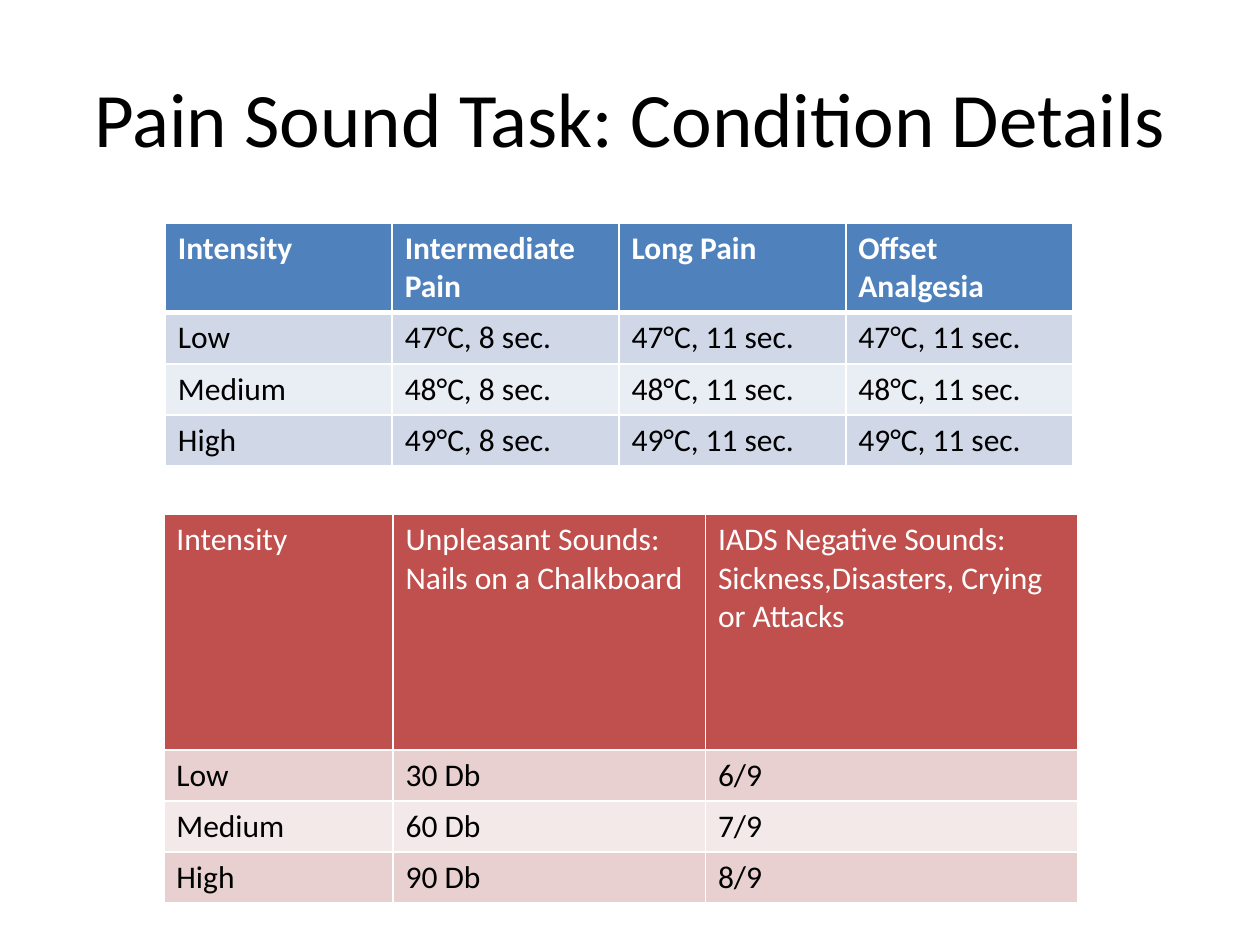
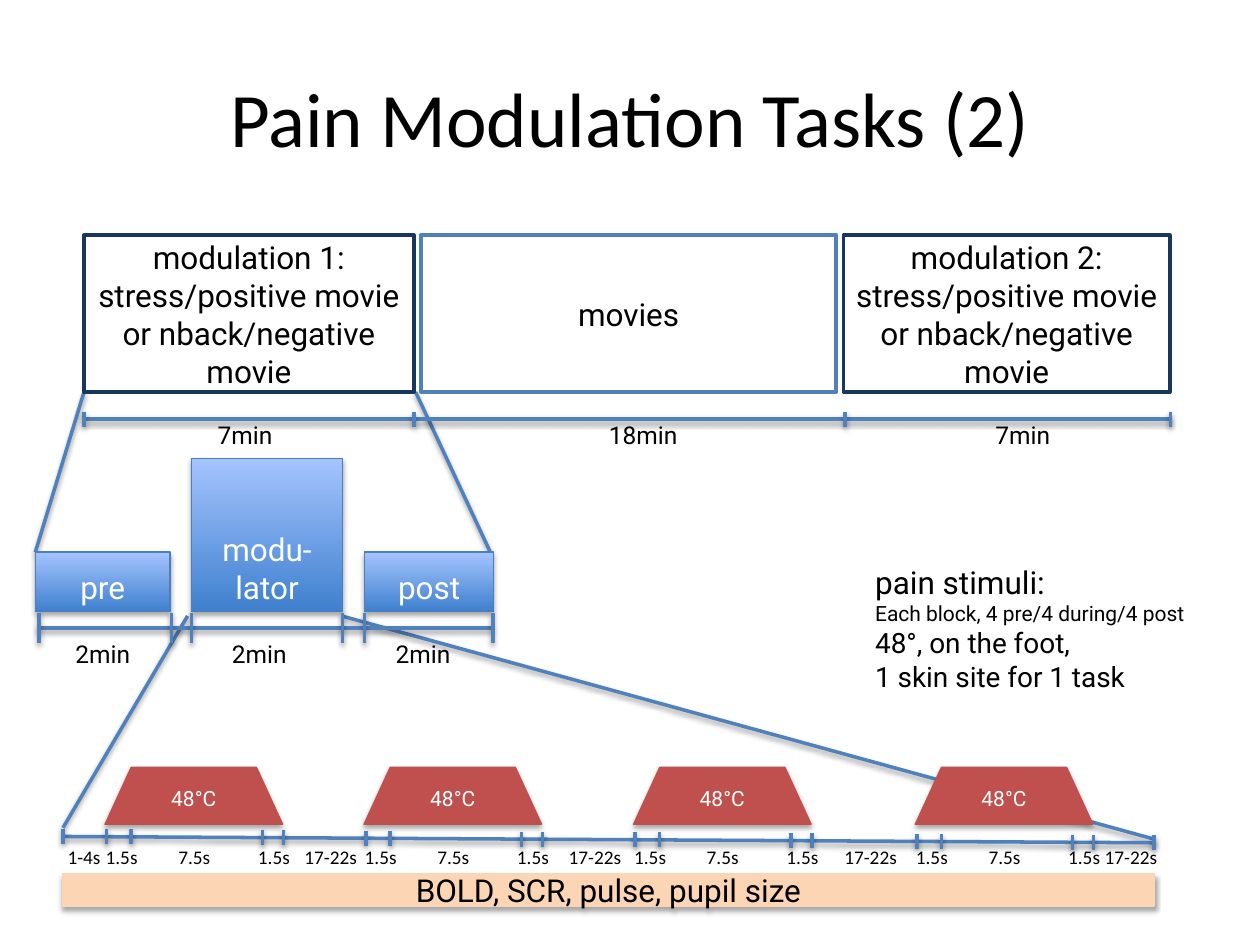
import collections

import lxml.etree
import pptx
import pptx.chart.data
import pptx.dml.color
import pptx.enum.shapes
import pptx.enum.text
import pptx.oxml
import pptx.oxml.ns
import pptx.util

Pt = pptx.util.Pt
qn = pptx.oxml.ns.qn
Align = pptx.enum.text.PP_ALIGN
Anchor = pptx.enum.text.MSO_ANCHOR
Preset = pptx.enum.shapes.MSO_SHAPE
Box = collections.namedtuple("Box", "left top width height")

COLORS = {
    "black": "000000", "white": "FFFFFF",
    "blue": "4F81BD", "blue_band": "D0D8E8", "blue_pale": "E9EDF4",
    "red": "C0504D", "red_band": "E8D0D0", "red_pale": "F4E9E9",
    "navy": "17375E", "phase_edge": "4B7EBC",
    "phase_dark": "3F80CE", "phase_light": "A4C4FF", "peach": "FCD5B5",
}
HEADING_FONT = "Calibri"
DIAGRAM_FONT = "Roboto"
TITLE_BOX = Box(36, 21.6, 648, 90)


def rgb(name):
    return pptx.dml.color.RGBColor.from_string(COLORS[name])


def inside(box, left, top, width, height):
    return Box(box.left + left, box.top + top, width, height)


def points(box):
    return [Pt(length) for length in box]


def style_para(para, size, color="black", font=DIAGRAM_FONT, align=None, bold=False):
    para.font.size = Pt(size)
    para.font.name = font
    para.font.bold = bold
    para.font.color.rgb = rgb(color)
    para.alignment = align


def fill_text(frame, text, size, **style):
    frame.text = text
    for para in frame.paragraphs:
        style_para(para, size, **style)


def cast_shadow(shape, opacity, distance):
    properties = shape._element.spPr
    effects = properties.find(qn("a:effectLst"))
    if effects is None:
        effects = lxml.etree.SubElement(properties, qn("a:effectLst"))
    shadow = lxml.etree.SubElement(
        effects, qn("a:outerShdw"), blurRad=str(Pt(3.1)), dist=str(Pt(distance)),
        dir="5400000", rotWithShape="0")
    color = lxml.etree.SubElement(shadow, qn("a:srgbClr"), val=COLORS["black"])
    lxml.etree.SubElement(color, qn("a:alpha"), val=str(opacity * 1000))


def add_page(deck, title):
    page = deck.slides.add_slide(deck.slide_layouts[5])
    heading = page.shapes.title
    heading.left, heading.top, heading.width, heading.height = points(TITLE_BOX)
    heading.text_frame.vertical_anchor = Anchor.MIDDLE
    fill_text(heading.text_frame, title, 44, font=HEADING_FONT, align=Align.CENTER)
    return page


def add_block(page, box, text, edge, fill=None, width=0.75, size=18,
              color="black", preset=Preset.RECTANGLE, anchor=Anchor.MIDDLE):
    block = page.shapes.add_shape(preset, *points(box))
    block.shadow.inherit = False
    if fill:
        block.fill.solid()
        block.fill.fore_color.rgb = rgb(fill)
    else:
        block.fill.background()
    block.line.color.rgb = rgb(edge)
    block.line.width = Pt(width)
    block.text_frame.word_wrap = True
    block.text_frame.vertical_anchor = anchor
    fill_text(block.text_frame, text, size, color=color, align=Align.CENTER)
    return block


def add_line(page, x1, y1, x2, y2):
    line = page.shapes.add_connector(
        pptx.enum.shapes.MSO_CONNECTOR.STRAIGHT, Pt(x1), Pt(y1), Pt(x2), Pt(y2))
    line.line.color.rgb = rgb("blue")
    line.line.width = Pt(2)
    cast_shadow(line, 38, 1.6)


def add_tick(page, x, y, half):
    add_line(page, x, y - half, x, y + half)


def add_label(page, center, top, text, size, font=DIAGRAM_FONT):
    label = page.shapes.add_textbox(Pt(center - 30), Pt(top), Pt(60), Pt(size + 10))
    label.text_frame.word_wrap = True
    fill_text(label.text_frame, text, size, font=font, align=Align.CENTER)


def border_cell(cell, top, bottom):
    properties = cell._tc.get_or_add_tcPr()
    for side, width in (("L", 1), ("R", 1), ("T", top), ("B", bottom)):
        edge = lxml.etree.SubElement(properties, qn("a:ln" + side), w=str(Pt(width)))
        paint = lxml.etree.SubElement(edge, qn("a:solidFill"))
        lxml.etree.SubElement(paint, qn("a:srgbClr"), val=COLORS["white"])


def draw_table(page, box, rows, widths, header_height, hue, bold, rule):
    row_height = (box.height - header_height) / (len(rows) - 1)
    grid = page.shapes.add_table(len(rows), len(widths), *points(box)).table
    for column, width in zip(grid.columns, widths):
        column.width = Pt(width)
    for index, texts in enumerate(rows):
        header = index == 0
        grid.rows[index].height = Pt(header_height if header else row_height)
        fill = hue if header else hue + ("_band" if index % 2 else "_pale")
        for column, text in enumerate(texts):
            cell = grid.cell(index, column)
            border_cell(cell, rule if index == 1 else 1, rule if header else 1)
            cell.fill.solid()
            cell.fill.fore_color.rgb = rgb(fill)
            fill_text(cell.text_frame, text, 18, font=HEADING_FONT,
                      color="white" if header else "black", bold=header and bold)


def draw_conditions_page(deck):
    page = add_page(deck, "Pain Sound Task: Condition Details")
    levels = ("Low", "Medium", "High")
    pain = [("Intensity", "Intermediate Pain", "Long Pain", "Offset Analgesia")]
    for level, heat in zip(levels, (47, 48, 49)):
        pain.append((level, f"{heat}°C, 8 sec.") + (f"{heat}°C, 11 sec.",) * 2)
    sounds = [("Intensity", "Unpleasant Sounds: Nails on a Chalkboard",
               "IADS Negative Sounds:\nSickness,Disasters, Crying or Attacks")]
    for level, loudness, rating in zip(levels, (30, 60, 90), (6, 7, 8)):
        sounds.append((level, f"{loudness} Db", f"{rating}/9"))
    draw_table(page, Box(94.5, 127.5, 518.4, 138.5), pain, [129.6] * 4, 51,
               "blue", True, 3)
    draw_table(page, Box(93.6, 294, 522, 221.5), sounds, [131, 178.5, 212.5], 134.5,
               "red", False, 1)


def draw_zoom_lines(page, sessions, phases, stimuli):
    bottom = sessions.top + 89.5
    ends = (
        (sessions.left, bottom, phases.left, phases.top + 53.5),
        (sessions.left + 189.5, bottom, phases.left + 260, phases.top + 53.5),
        (phases.left + 87, phases.top + 90, stimuli.left, stimuli.top + 34.5),
        (phases.left + 175, phases.top + 90, stimuli.left + 623.5, stimuli.top + 41),
    )
    for end in ends:
        add_line(page, *end)


def draw_sessions(page, box):
    task = "modulation {}:\nstress/positive movie\nor nback/negative movie"
    blocks = (
        (0, 188.5, task.format(1), "navy", None),
        (192.5, 237.5, "movies", "blue", "white"),
        (434, 186.5, task.format(2), "navy", None),
    )
    for left, width, text, edge, fill in blocks:
        add_block(page, inside(box, left, 0, width, 89.5), text, edge, fill, 2.25)
    axis = box.top + 105
    add_line(page, box.left, axis, box.left + box.width, axis)
    for offset in (0, 188.5, 435, box.width):
        add_tick(page, box.left + offset, axis, 4.3)
    for center, text in ((92, "7min"), (319.5, "18min"), (536.5, "7min")):
        add_label(page, box.left + center, box.top + 102, text, 14)


def draw_phases(page, box):
    blocks = ((0, 53.5, 77, "pre"), (89.2, 0, 86.4, "modu-lator"), (188, 53.5, 74, "post"))
    for left, top, width, text in blocks:
        block = add_block(page, inside(box, left, top, width, 87.5 - top), text,
                          "phase_edge", color="white", anchor=Anchor.BOTTOM)
        block.fill.gradient()
        block.fill.gradient_angle = 90
        for stop, shade in zip(block.fill.gradient_stops, ("phase_dark", "phase_light")):
            stop.color.rgb = rgb(shade)
        cast_shadow(block, 35, 1.8)
    axis = box.top + 97
    add_line(page, box.left + 1, axis, box.left + box.width, axis)
    for offset in (2, 77.8, 89.2, 175.6, 188, box.width):
        add_tick(page, box.left + offset, axis, 8.6)
    for center in (38.5, 128, 221.5):
        add_label(page, box.left + center, box.top + 99.5, "2min", 14)


def draw_stimuli(page, box):
    starts = (24, 172, 326, 487)
    ticks = (1, 15, 90, 102)
    axis, drop, label_top = 39.5, 3.6, 41

    def tick(offset):
        add_tick(page, box.left + offset, box.top + axis + drop * offset / box.width, 4.3)

    def label(center, text):
        add_label(page, box.left + center, box.top + label_top, text, 11, HEADING_FONT)

    add_line(page, box.left, box.top + axis, box.left + box.width, box.top + axis + drop)
    tick(0)
    tick(box.width)
    label(12, "1-4s")
    for start, following in zip(starts, starts[1:] + (box.width,)):
        pulse = add_block(page, inside(box, start, 0, 101.5, 32.5), "48°C", "red", "red",
                          size=12, color="white", preset=Preset.TRAPEZOID)
        pulse.adjustments[0] = 0.46
        cast_shadow(pulse, 35, 1.8)
        for offset in ticks:
            tick(start + offset)
        for center, text in ((9.5, "1.5s"), (51, "7.5s"), (96.5, "1.5s")):
            label(start + center, text)
        label((start + ticks[-1] + following) / 2 + 4, "17-22s")
    band = add_block(page, inside(box, 0, 60.5, box.width, 18.7),
                     "BOLD, SCR, pulse, pupil size", "peach", "peach")
    cast_shadow(band, 35, 1.8)


def draw_stimulus_note(page, box):
    frame = page.shapes.add_textbox(*points(box)).text_frame
    frame.word_wrap = True
    frame.text = ("pain stimuli:\nEach block, 4 pre/4 during/4 post\n"
                  "48°, on the foot,\n1 skin site for 1 task")
    for para, size in zip(frame.paragraphs, (18, 12, 16, 16)):
        style_para(para, size)


def draw_modulation_page(deck):
    page = add_page(deck, "Pain Modulation Tasks (2)")
    sessions = Box(48, 134.5, 621, 110)
    phases = Box(20.2, 262, 261.4, 124)
    stimuli = Box(36, 438.5, 623.5, 79)
    draw_stimulus_note(page, Box(493, 318, 199, 82))
    draw_zoom_lines(page, sessions, phases, stimuli)
    draw_sessions(page, sessions)
    draw_phases(page, phases)
    draw_stimuli(page, stimuli)


def main():
    deck = pptx.Presentation()
    deck.slide_width, deck.slide_height = Pt(720), Pt(540)
    draw_conditions_page(deck)
    draw_modulation_page(deck)
    deck.save("out.pptx")


if __name__ == "__main__":
    main()
